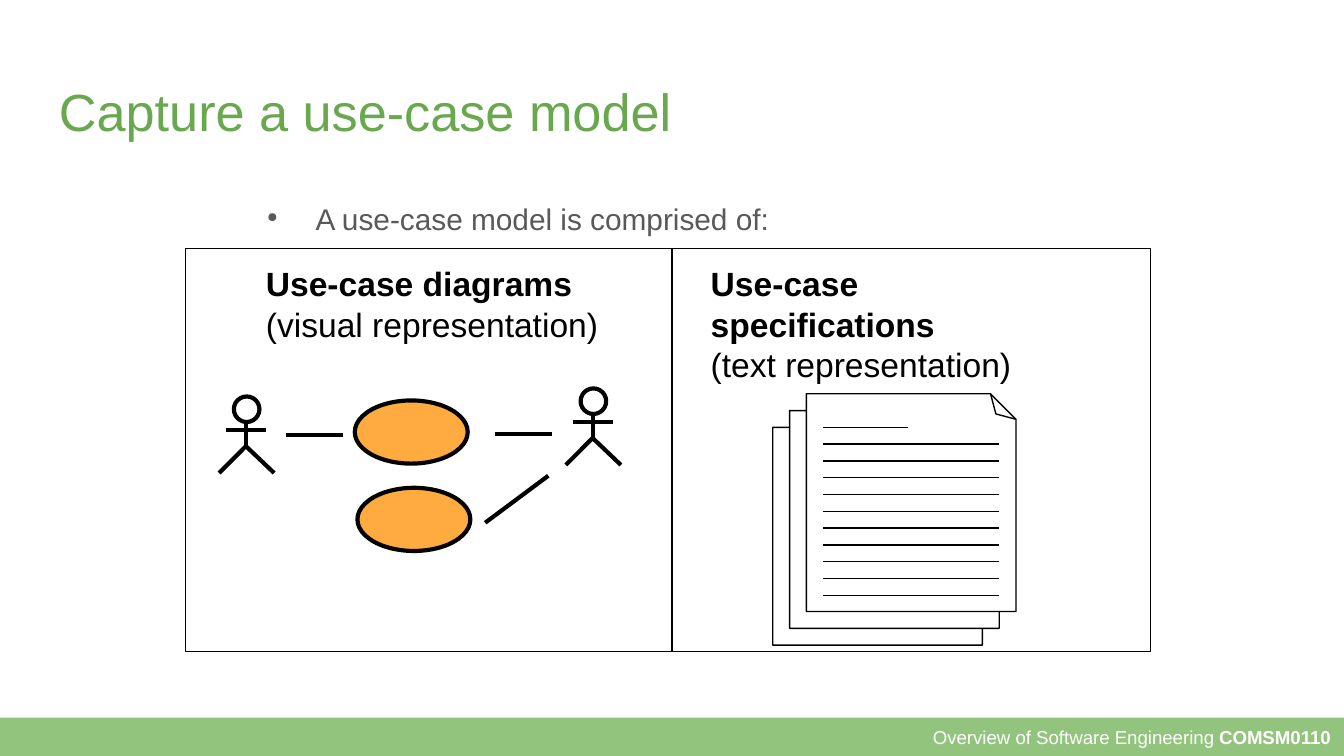
from lxml import etree
from pptx import Presentation
from pptx.dml.color import RGBColor
from pptx.enum.shapes import MSO_CONNECTOR, MSO_SHAPE
from pptx.enum.text import MSO_ANCHOR, PP_ALIGN
from pptx.oxml.ns import qn
from pptx.util import Inches, Pt

BLACK = RGBColor(0x00, 0x00, 0x00)
WHITE = RGBColor(0xFF, 0xFF, 0xFF)
GREEN = RGBColor(0x6A, 0xA8, 0x4F)
LIGHT_GREEN = RGBColor(0x93, 0xC4, 0x7D)
GREY = RGBColor(0x59, 0x59, 0x59)
ORANGE = RGBColor(0xFF, 0xAB, 0x40)
FONT = "Arial"
THIN, THICK = 0.75, 2.25
PAGE_WIDTH = 10
PAGE_HEIGHT = PAGE_WIDTH * 9 / 16


def style_shape(shape, fill, line_width=None):
    shape.shadow.inherit = False
    if fill is None:
        shape.fill.background()
    else:
        shape.fill.solid()
        shape.fill.fore_color.rgb = fill
    if line_width is None:
        shape.line.fill.background()
    else:
        shape.line.color.rgb = BLACK
        shape.line.width = Pt(line_width)


def add_preset(page, kind, left, top, width, height, fill, line_width=None):
    shape = page.shapes.add_shape(
        kind, Inches(left), Inches(top), Inches(width), Inches(height))
    style_shape(shape, fill, line_width)
    return shape


def add_line(page, start, end, width):
    line = page.shapes.add_connector(
        MSO_CONNECTOR.STRAIGHT, *[Inches(value) for value in (*start, *end)])
    line.line.color.rgb = BLACK
    line.line.width = Pt(width)
    etree.SubElement(line._element.spPr, qn("a:effectLst"))


def add_outline(page, points, fill, width, close):
    points = [(Inches(x), Inches(y)) for x, y in points]
    builder = page.shapes.build_freeform(*points[0])
    builder.add_line_segments(points[1:], close=close)
    style_shape(builder.convert_to_shape(), fill, width)


def set_font(paragraph, size, color):
    paragraph.font.name = FONT
    paragraph.font.size = Pt(size)
    paragraph.font.color.rgb = color


def set_margins(frame, margin):
    frame.margin_left = frame.margin_right = Inches(margin)
    frame.margin_top = frame.margin_bottom = Inches(margin)


def add_text(page, left, top, width, height, text, size, color):
    box = page.shapes.add_textbox(
        Inches(left), Inches(top), Inches(width), Inches(height))
    box.text_frame.word_wrap = True
    set_margins(box.text_frame, 0.1)
    para = box.text_frame.paragraphs[0]
    para.text = text
    set_font(para, size, color)
    return para


def add_bullet(para):
    properties = para._p.get_or_add_pPr()
    properties.set("marL", str(Inches(0.5)))
    properties.set("indent", str(Inches(-0.36)))
    size = etree.SubElement(properties, qn("a:buSzPct"))
    size.set("val", "45000")
    bullet = etree.SubElement(properties, qn("a:buChar"))
    bullet.set("char", "●")


def add_footer(page, left, top, width, height):
    bar = add_preset(page, MSO_SHAPE.RECTANGLE, left, top, width, height, LIGHT_GREEN)
    set_margins(bar.text_frame, 0.1)
    bar.text_frame.vertical_anchor = MSO_ANCHOR.MIDDLE
    para = bar.text_frame.paragraphs[0]
    para.alignment = PP_ALIGN.RIGHT
    para.add_run().text = "Overview of Software Engineering "
    code = para.add_run()
    code.text = "COMSM0110"
    code.font.bold = True
    set_font(para, 10, WHITE)


def add_heading(page, left, top, width, height, name, note):
    box = page.shapes.add_textbox(
        Inches(left), Inches(top), Inches(width), Inches(height))
    box.text_frame.word_wrap = True
    para = box.text_frame.paragraphs[0]
    para.space_before = Pt(11)
    span = para.add_run()
    span.text = name
    span.font.bold = True
    para.add_line_break()
    para.add_run().text = note
    set_font(para, 18, BLACK)


def add_actor(page, left, top):
    """Draw a stick figure 0.41 wide and 0.57 high."""
    middle, hip, foot = left + 0.2, top + 0.37, top + 0.57
    add_preset(page, MSO_SHAPE.OVAL, left + 0.11, top, 0.19, 0.19, None, THICK)
    add_line(page, (middle, top + 0.19), (middle, hip), THICK)
    add_line(page, (left + 0.05, top + 0.25), (left + 0.35, top + 0.25), THICK)
    add_outline(page, [(left, foot), (middle, hip), (left + 0.41, foot)],
                None, THICK, close=False)


def add_diagram(page, left, top):
    """Draw two actors linked to two use cases."""
    add_actor(page, left, top + 0.06)
    add_actor(page, left + 2.58, top)
    for x, y in ((1.01, 0.09), (1.03, 0.74)):
        add_preset(page, MSO_SHAPE.OVAL, left + x, top + y, 0.84, 0.47, ORANGE, THICK)
    for x1, y1, x2, y2 in ((0.5, 0.35, 0.92, 0.35), (2.05, 0.34, 2.48, 0.34),
                           (1.98, 1, 2.45, 0.65)):
        add_line(page, (left + x1, top + y1), (left + x2, top + y2), THICK)


def add_sheet(page, left, top, width, height):
    """Draw a page whose top right corner is folded over."""
    right, bottom, fold = left + width, top + height, 0.19
    crease, corner = (right - fold, top), (right, top + fold)
    add_outline(page, [(left, top), crease, corner, (right, bottom), (left, bottom)],
                WHITE, THIN, close=True)
    add_outline(page, [crease, (right - 0.15, top + 0.15), corner],
                None, THIN, close=False)


def add_documents(page, left, top):
    """Draw three stacked sheets, the front one with lines of writing."""
    step = 1 / 8
    for index in range(3):
        add_sheet(page, left + index * step, top + (2 - index) * step, 1.56, 1.62)
    start = left + 3 * step
    for row in range(11):
        y = top + (row + 2) * step
        add_line(page, (start, y), (start + (1.31 if row else 0.63), y), THIN)


def add_model_panel(page, left, top, width, height):
    add_heading(page, left + 0.5, top + 0.06, 2.69, 0.71,
                "Use-case diagrams", "(visual representation)")
    add_heading(page, left + 3.81, top + 0.06, 3, 1.01,
                "Use-case specifications", "(text representation)")
    add_diagram(page, left + 0.25, top + 1.04)
    add_documents(page, left + 4.37, top + 1.08)
    add_preset(page, MSO_SHAPE.RECTANGLE, left, top, width, height, None, THIN)
    divider = left + 3.62
    add_line(page, (divider, top), (divider, top + height), THIN)


def main():
    deck = Presentation()
    deck.slide_width, deck.slide_height = Inches(PAGE_WIDTH), Inches(PAGE_HEIGHT)
    page = deck.slides.add_slide(deck.slide_layouts[6])
    add_footer(page, 0, 5.34, PAGE_WIDTH, PAGE_HEIGHT - 5.34)
    add_text(page, 0.34, 0.49, 9.32, 0.63, "Capture a use-case model", 28, GREEN)
    intro = add_text(page, 1.75, 1.35, 6.56, 1.27,
                     "A use-case model is comprised of:", 16, GREY)
    intro.line_spacing = 1.15
    add_bullet(intro)
    add_model_panel(page, 1.38, 1.85, 7.18, 3)
    deck.save("out.pptx")


if __name__ == "__main__":
    main()
